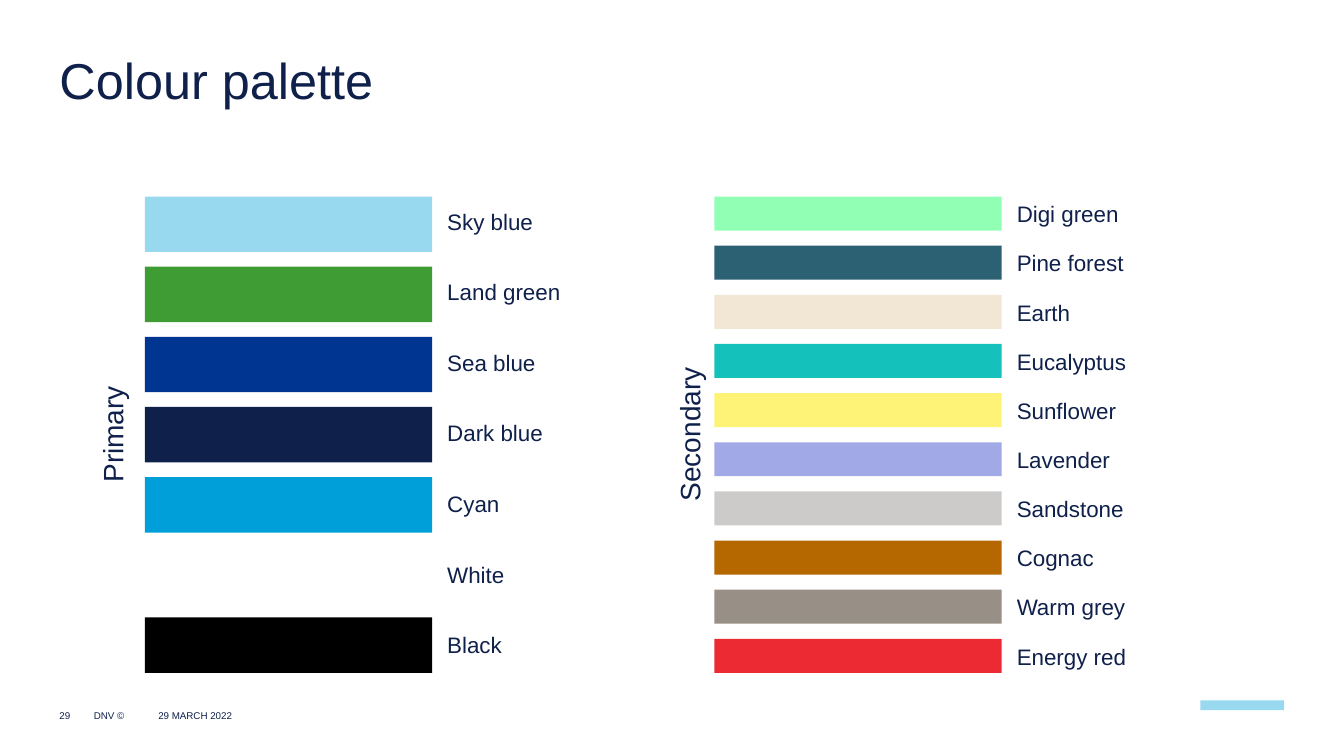
from pptx import Presentation
from pptx.dml.color import RGBColor
from pptx.enum.shapes import MSO_SHAPE
from pptx.enum.text import MSO_ANCHOR, MSO_AUTO_SIZE, PP_ALIGN
from pptx.util import Pt

COLOURS = {
    "Sky blue": "99D9F0",
    "Land green": "3F9C35",
    "Sea blue": "003591",
    "Dark blue": "0F204B",
    "Cyan": "009FDA",
    "White": "FFFFFF",
    "Black": "000000",
    "Digi green": "91FFB4",
    "Pine forest": "2B6173",
    "Earth": "F2E6D5",
    "Eucalyptus": "15C2BB",
    "Sunflower": "FFF377",
    "Lavender": "A1AAE6",
    "Sandstone": "CCCBC9",
    "Cognac": "B56700",
    "Warm grey": "988F86",
    "Energy red": "EB2A34",
}
PRIMARY = list(COLOURS)[:7]
SECONDARY = list(COLOURS)[7:]
TOP = 140.4
BAR_WIDTH = 205.2


def write_text(sp, text, size=16, align=PP_ALIGN.LEFT, line_spacing=None):
    """Fill a shape's text frame with one formatted paragraph."""
    tf = sp.text_frame
    tf.word_wrap = True
    tf.auto_size = MSO_AUTO_SIZE.NONE
    tf.vertical_anchor = MSO_ANCHOR.TOP
    tf.margin_left = tf.margin_top = tf.margin_right = tf.margin_bottom = 0
    p = tf.paragraphs[0]
    p.alignment = align
    p.line_spacing = line_spacing
    r = p.add_run()
    r.text = text
    r.font.name = "Arial"
    r.font.size = Pt(size)
    r.font.color.rgb = RGBColor.from_string(COLOURS["Dark blue"])


def place(sp, left, top, width, height):
    """Move and size a shape in points."""
    sp.left, sp.top, sp.width, sp.height = map(Pt, (left, top, width, height))


def add_text(s, text, left, top, width, height, **fmt):
    """Add a text box and return it."""
    sp = s.shapes.add_textbox(Pt(left), Pt(top), Pt(width), Pt(height))
    write_text(sp, text, **fmt)
    return sp


def add_bar(s, colour, left, top, width, height):
    """Add a plain filled rectangle."""
    sp = s.shapes.add_shape(MSO_SHAPE.RECTANGLE, Pt(left), Pt(top), Pt(width), Pt(height))
    sp.shadow.inherit = False
    sp.fill.solid()
    sp.fill.fore_color.rgb = RGBColor.from_string(COLOURS[colour])
    sp.line.fill.background()


def add_palette(s, heading, names, left, heading_x, height, pitch, label_top, label_pitch):
    """Add a column of labelled swatches with a vertical heading."""
    for i, name in enumerate(names):
        add_bar(s, name, left, TOP + i * pitch, BAR_WIDTH, height)
        add_text(s, name, left + BAR_WIDTH + 10.8, label_top + i * label_pitch, 100, 19.4)
    sp = add_text(s, heading, heading_x - 55, 298, 110, 24.5, size=20, align=PP_ALIGN.CENTER)
    sp.rotation = 270


def add_footer(s):
    """Add the page number, owner, date and corner block."""
    add_text(s, "29", 42.5, 507, 21, 12, size=7)
    add_text(s, "DNV ©", 67, 507, 25, 12, size=7)
    add_text(s, "29 MARCH 2022", 92.2, 507, 94.3, 12, size=7, align=PP_ALIGN.CENTER)
    add_bar(s, "Sky blue", 857.5, 500.2, 59.8, 7)


def main():
    """Build and save the colour palette slide."""
    prs = Presentation()
    prs.slide_width, prs.slide_height = Pt(960), Pt(540)
    s = prs.slides.add_slide(prs.slide_layouts[5])
    title = s.shapes.title
    place(title, 42.5, 42.5, 875, 73.5)
    write_text(title, "Colour palette", size=36, line_spacing=0.83)
    add_palette(s, "Primary", PRIMARY, 103.5, 80.3, 39.6, 50.1, 148.5, 50.4)
    add_palette(s, "Secondary", SECONDARY, 510.3, 492.5, 24.3, 35.1, 143.2, 35.1)
    add_footer(s)
    prs.save("out.pptx")


if __name__ == "__main__":
    main()
